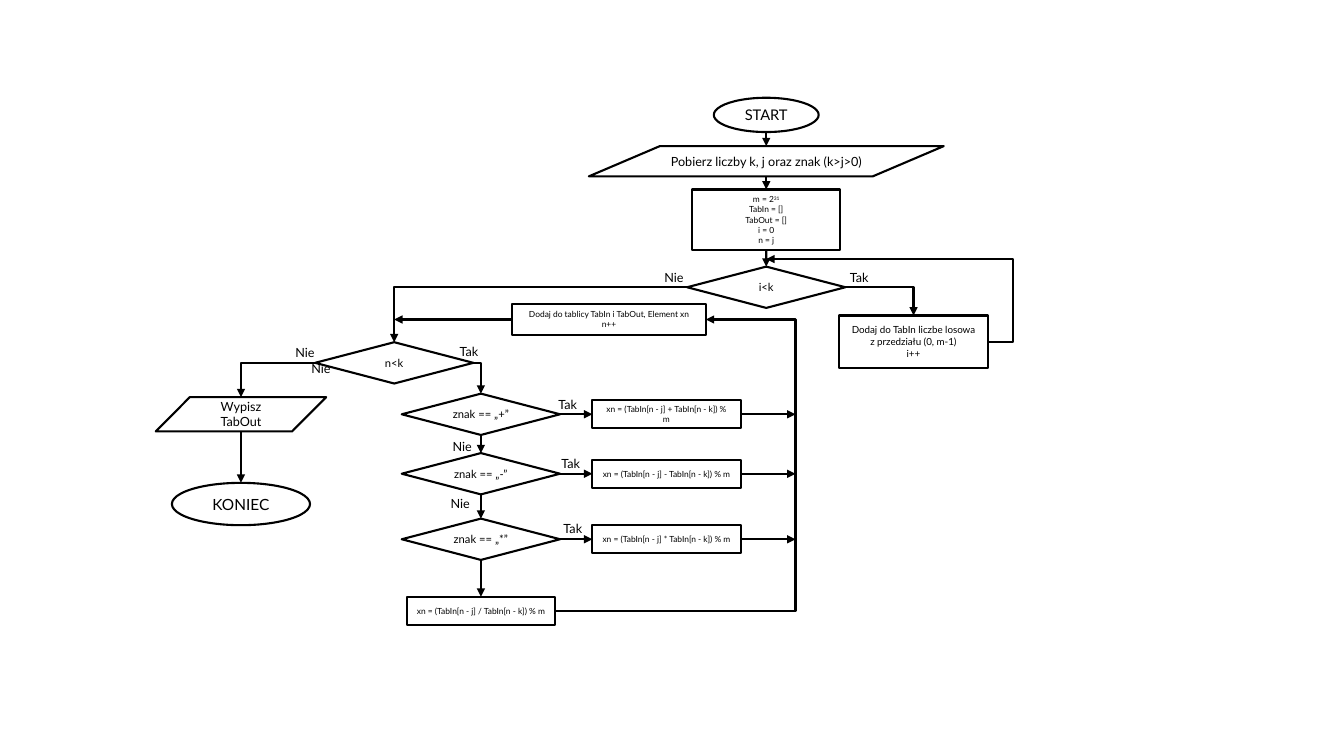
import pptx
import pptx.dml.color
import pptx.enum.shapes
import pptx.enum.text
import pptx.oxml.ns
import pptx.util
from lxml import etree

SLIDE_WIDTH, SLIDE_HEIGHT = 13.33, 7.5
FONT, INK, PAPER = "Lato", "000000", "FFFFFF"
LINE_POINTS, LABEL_POINTS = 1.5, 9
LABEL_SIZE = (0.39, 0.25)

OUTPUT, BRANCH, TEST, FORMULA, MAIN, MERGE, RANDOM, LOOP = 2.39, 3.91, 4.77, 6.61, 7.6, 7.89, 9.06, 10.05
LOOP_ROW, APPEND_ROW, DIVIDE_ROW = 2.57, 3.17, 6.06
TEST_ROWS = {"+": 4.11, "-": 4.7, "*": 5.35}

OVAL = pptx.enum.shapes.MSO_SHAPE.OVAL
DATA = pptx.enum.shapes.MSO_SHAPE.FLOWCHART_DATA
PROCESS = pptx.enum.shapes.MSO_SHAPE.FLOWCHART_PROCESS
DECISION = pptx.enum.shapes.MSO_SHAPE.FLOWCHART_DECISION

TOP, LEFT, BOTTOM, RIGHT = range(4)
SITES = {OVAL: (0, 2, 4, 6), DATA: (1, 2, 4, 5), PROCESS: (0, 1, 2, 3), DECISION: (0, 1, 2, 3)}

DIAMOND = (1.57, 0.41)
SMALL_STEP = (1.47, 0.28)

# name: (kind, centre, size, points, lines of text)
NODES = {
    "start": (OVAL, (MAIN, 1.14), (1.04, 0.34), 10.5, ["START"]),
    "input": (DATA, (MAIN, 1.6), (3.52, 0.3), 9, ["Pobierz liczby k, j oraz znak (k>j>0)"]),
    "setup": (PROCESS, (MAIN, 2.18), (1.47, 0.6), 6,
              ["m = 2^31", "TabIn = []", "TabOut = []", "i = 0", "n = j"]),
    "filling": (DECISION, (MAIN, 2.85), DIAMOND, 8, ["i<k"]),
    "random": (PROCESS, (RANDOM, 3.39), (1.47, 0.52), 7,
               ["Dodaj do TabIn liczbe losowa z przedziału (0, m-1)", "i++"]),
    "counting": (DECISION, (BRANCH, 3.6), DIAMOND, 8, ["n<k"]),
    "print": (DATA, (OUTPUT, 4.11), (1.69, 0.34), 9, ["Wypisz TabOut"]),
    "end": (OVAL, (OUTPUT, 5.0), (1.37, 0.42), 11, ["KONIEC"]),
    "append": (PROCESS, (6.04, APPEND_ROW), (1.92, 0.31), 6,
               ["Dodaj do tablicy TabIn i TabOut, Element xn", "n++"]),
    "formula /": (PROCESS, (TEST, DIVIDE_ROW), SMALL_STEP, 6, ["xn = (TabIn[n - j] / TabIn[n - k]) % m"]),
}

ARROWS = [
    (("start", BOTTOM), ("input", TOP)),
    (("input", BOTTOM), ("setup", TOP)),
    (("setup", BOTTOM), ("filling", TOP)),
    (("print", BOTTOM), ("end", TOP)),
    (("append", LEFT), (BRANCH, APPEND_ROW)),
    (("test +", BOTTOM), ("test -", TOP)),
    (("test -", BOTTOM), ("test *", TOP)),
    (("test *", BOTTOM), ("formula /", TOP)),
]
CORNER_ARROWS = [
    (("filling", RIGHT), ("random", TOP)),
    (("filling", LEFT), ("counting", TOP)),
    (("counting", RIGHT), ("test +", TOP)),
    (("counting", LEFT), ("print", TOP)),
]
RETURN_ARROWS = [
    (("random", RIGHT), (MAIN, LOOP_ROW), LOOP),
    (("formula /", RIGHT), ("append", RIGHT), MERGE),
]
LABELS = {
    "Tak": [(8.33, 2.63), (4.46, 3.36), (5.44, 3.89), (5.47, 4.47), (5.49, 5.12)],
    "Nie": [(6.49, 2.63), (2.83, 3.37), (2.99, 3.53), (4.39, 4.3), (4.37, 4.87)],
}

for operator, row in TEST_ROWS.items():
    test, formula = f"test {operator}", f"formula {operator}"
    NODES[test] = (DECISION, (TEST, row), DIAMOND, 8, [f"znak == „{operator}”"])
    NODES[formula] = (PROCESS, (FORMULA, row), SMALL_STEP, 6,
                      [f"xn = (TabIn[n - j] {operator} TabIn[n - k]) % m"])
    ARROWS += [((test, RIGHT), (formula, LEFT)), ((formula, RIGHT), (MERGE, row))]


def inches(*lengths):
    return [pptx.util.Inches(length) for length in lengths]


def paint(color_format, color):
    color_format.rgb = pptx.dml.color.RGBColor.from_string(color)


def draw_line(line):
    line.width = pptx.util.Pt(LINE_POINTS)
    line.fill.solid()
    paint(line.fill.fore_color, INK)


def write(text_frame, lines, points, alignment):
    for index, text in enumerate(lines):
        paragraph = text_frame.add_paragraph() if index else text_frame.paragraphs[0]
        paragraph.alignment = alignment
        for part, content in enumerate(text.split("^")):
            run = paragraph.add_run()
            run.text = content
            run.font.name = FONT
            run.font.size = pptx.util.Pt(points)
            paint(run.font.color, INK)
            if part:
                run.font._element.set("baseline", "30000")


def add_node(slide, kind, centre, size, points, lines):
    (x, y), (width, height) = centre, size
    shape = slide.shapes.add_shape(kind, *inches(x - width / 2, y - height / 2, width, height))
    shape.shadow.inherit = False
    shape.fill.solid()
    paint(shape.fill.fore_color, PAPER)
    draw_line(shape.line)
    shape.text_frame.word_wrap = True
    shape.text_frame.vertical_anchor = pptx.enum.text.MSO_ANCHOR.MIDDLE
    write(shape.text_frame, lines, points, pptx.enum.text.PP_ALIGN.CENTER)
    return shape


def locate(end):
    if end[0] not in NODES:
        return end
    name, side = end
    _, (x, y), (width, height), _, _ = NODES[name]
    across, down = {TOP: (0, -1), LEFT: (-1, 0), BOTTOM: (0, 1), RIGHT: (1, 0)}[side]
    return x + across * width / 2, y + down * height / 2


def add_arrow(slide, shapes, start, finish, preset="line", turn=None):
    points = locate(start) + locate(finish)
    connector = slide.shapes.add_connector(pptx.enum.shapes.MSO_CONNECTOR.STRAIGHT, *inches(*points))
    qualify = pptx.oxml.ns.qn
    element = connector._element
    for end, connect, tag in ((start, connector.begin_connect, "a:stCxn"),
                              (finish, connector.end_connect, "a:endCxn")):
        if end[0] in NODES:
            name, side = end
            connect(shapes[name], side)
            site = SITES[NODES[name][0]][side]
            next(element.iter(qualify(tag))).set("idx", str(site))
    draw_line(connector.line)
    etree.SubElement(next(element.iter(qualify("a:ln"))), qualify("a:tailEnd"), type="triangle")
    etree.SubElement(element.spPr, qualify("a:effectLst"))
    geometry = next(element.iter(qualify("a:prstGeom")))
    geometry.set("prst", preset)
    if turn is not None:
        share = round((turn - points[0]) / (points[2] - points[0]) * 100000)
        adjustments = geometry.find(qualify("a:avLst"))
        etree.SubElement(adjustments, qualify("a:gd"), name="adj1", fmla=f"val {share}")


def add_label(slide, text, position):
    text_frame = slide.shapes.add_textbox(*inches(*position, *LABEL_SIZE)).text_frame
    text_frame.word_wrap = False
    text_frame.auto_size = pptx.enum.text.MSO_AUTO_SIZE.SHAPE_TO_FIT_TEXT
    write(text_frame, [text], LABEL_POINTS, pptx.enum.text.PP_ALIGN.LEFT)


def main():
    presentation = pptx.Presentation()
    presentation.slide_width, presentation.slide_height = inches(SLIDE_WIDTH, SLIDE_HEIGHT)
    slide = presentation.slides.add_slide(presentation.slide_layouts.get_by_name("Blank"))
    shapes = {name: add_node(slide, *node) for name, node in NODES.items()}
    for start, finish in ARROWS:
        add_arrow(slide, shapes, start, finish)
    for start, finish in CORNER_ARROWS:
        add_arrow(slide, shapes, start, finish, "bentConnector2")
    for start, finish, turn in RETURN_ARROWS:
        add_arrow(slide, shapes, start, finish, "bentConnector3", turn)
    for text, positions in LABELS.items():
        for position in positions:
            add_label(slide, text, position)
    presentation.save("out.pptx")


if __name__ == "__main__":
    main()
